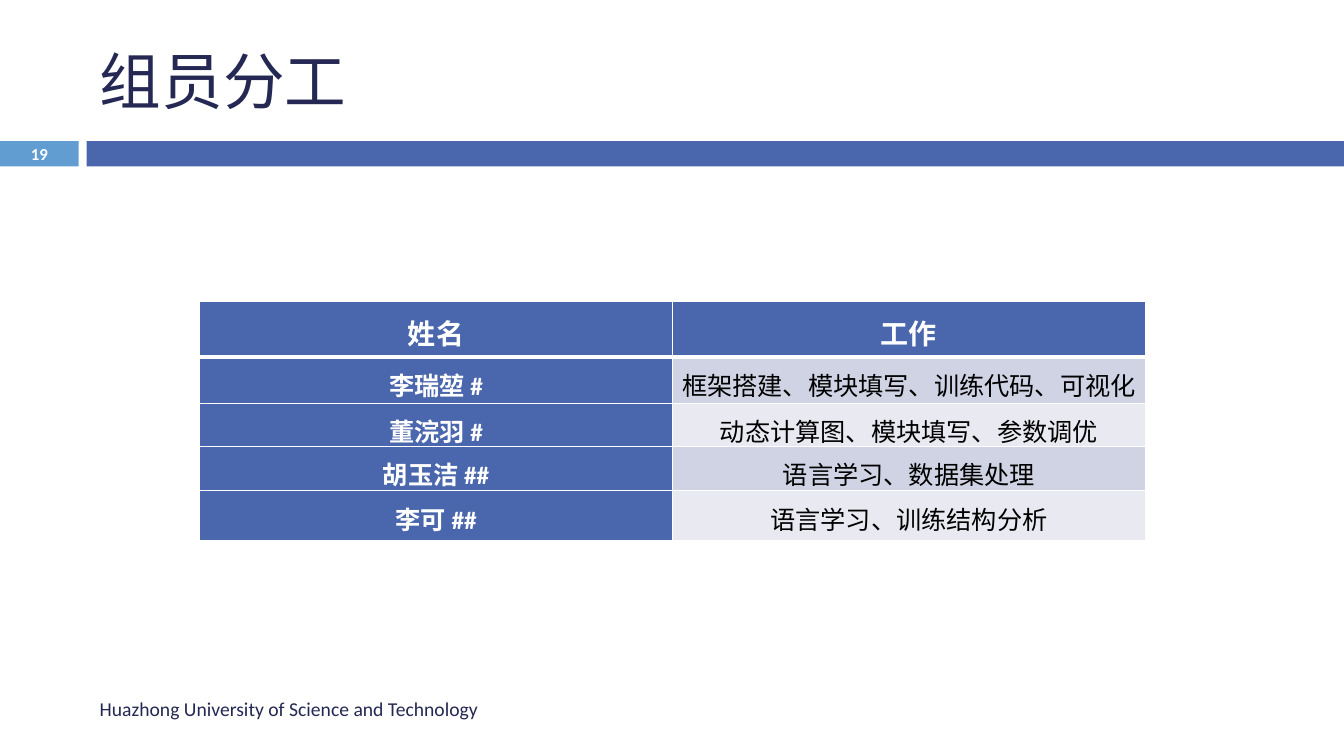
import pptx
import pptx.util
import pptx.dml.color
import pptx.enum.shapes
import pptx.enum.text
import pptx.oxml
import pptx.oxml.ns

Inches, Pt = pptx.util.Inches, pptx.util.Pt
align = pptx.enum.text.PP_ALIGN
middle = pptx.enum.text.MSO_ANCHOR.MIDDLE
hues = {"navy": "242852", "blue": "4A66AC", "sky": "629DD1", "white": "FFFFFF",
        "black": "000000", "odd": "D0D3E3", "even": "E9EAF1"}


def style(para, size, hue, bold=False, side=align.LEFT, face="Calibri"):
    para.alignment = side
    font = para.font
    font.size, font.bold = Pt(size), bold
    font.color.rgb = pptx.dml.color.RGBColor.from_string(hues[hue])
    if face:
        font.name = face


def paint(item, hue):
    item.fill.solid()
    item.fill.fore_color.rgb = pptx.dml.color.RGBColor.from_string(hues[hue])


deck = pptx.Presentation()
deck.slide_width, deck.slide_height = Inches(13.33), Inches(7.5)
slide = deck.slides.add_slide(deck.slide_layouts[5])

# Title
title = slide.shapes.title
title.left, title.top = Inches(0.89), Inches(0.25)
title.width, title.height = Inches(11.89), Inches(1.08)
frame = title.text_frame
frame.text = "组员分工"
frame.auto_size = pptx.enum.text.MSO_AUTO_SIZE.NONE
frame.vertical_anchor = middle
style(frame.paragraphs[0], 44, "navy")

# Bars under the title, the first with the page number
for left, width, hue, label in [(0, 0.78, "sky", "19"), (0.86, 12.47, "blue", "")]:
    bar = slide.shapes.add_shape(pptx.enum.shapes.MSO_SHAPE.RECTANGLE,
                                 Inches(left), Inches(1.4), Inches(width), Inches(0.25))
    bar.shadow.inherit = False
    paint(bar, hue)
    bar.line.fill.background()
    if label:
        frame = bar.text_frame
        frame.text = label
        frame.margin_top = frame.margin_bottom = 0
        frame.vertical_anchor = middle
        style(frame.paragraphs[0], 12, "white", True, align.CENTER)

# Footer
foot = slide.shapes.add_textbox(Inches(0.89), Inches(6.83), Inches(7.9), Inches(0.4))
frame = foot.text_frame
frame.word_wrap = True
frame.vertical_anchor = middle
frame.text = "Huazhong University of Science and Technology"
style(frame.paragraphs[0], 14, "navy")

# Table: each cell is a list of (text, font) runs
sans, serif = "Calibri", "Times New Roman"
rows = [
    (0.55, [("姓名", sans)], [("工作", sans)]),
    (0.46, [("李瑞堃 #", sans)], [("框架搭建、模块填写、训练代码、可视化", sans)]),
    (0.43, [("董浣羽 #", sans)], [("动态计算图、", serif), ("模块填写、参数调优", sans)]),
    (0.44, [("胡玉洁 ##", sans)], [("语言学习、数据集处理", serif)]),
    (0.49, [("李可 ##", sans)], [("语言学习、训练结构分析", serif)]),
]
table = slide.shapes.add_table(len(rows), 2, Inches(1.98), Inches(2.99),
                               Inches(9.38), Inches(2.37)).table
for r, (height, *cells) in enumerate(rows):
    table.rows[r].height = Inches(height)
    for c, parts in enumerate(cells):
        cell = table.cell(r, c)
        head = r == 0 or c == 0
        paint(cell, "blue" if head else "odd" if r % 2 else "even")
        cell.margin_left = cell.margin_right = Inches(0.07)
        cell.margin_top = cell.margin_bottom = 0

        # Text
        para = cell.text_frame.paragraphs[0]
        para.line_spacing = 1.25
        mixed = len(parts) > 1
        style(para, 18 if r else 20, "white" if head else "black", head,
              align.CENTER, None if mixed else parts[0][1])
        for text, face in parts:
            run = para.add_run()
            run.text = text
            if mixed:
                run.font.name = face

        # White borders, thick between the header and the first row
        edges = {"L": 1, "R": 1, "T": 3 if r == 1 else 1, "B": 1 if r else 3}
        props = cell._tc.get_or_add_tcPr()
        for spot, (edge, wide) in enumerate(edges.items()):
            props.insert(spot, pptx.oxml.parse_xml(
                f'<a:ln{edge} {pptx.oxml.ns.nsdecls("a")} w="{Pt(wide)}"><a:solidFill>'
                f'<a:srgbClr val="{hues["white"]}"/></a:solidFill></a:ln{edge}>'))

deck.save("out.pptx")
